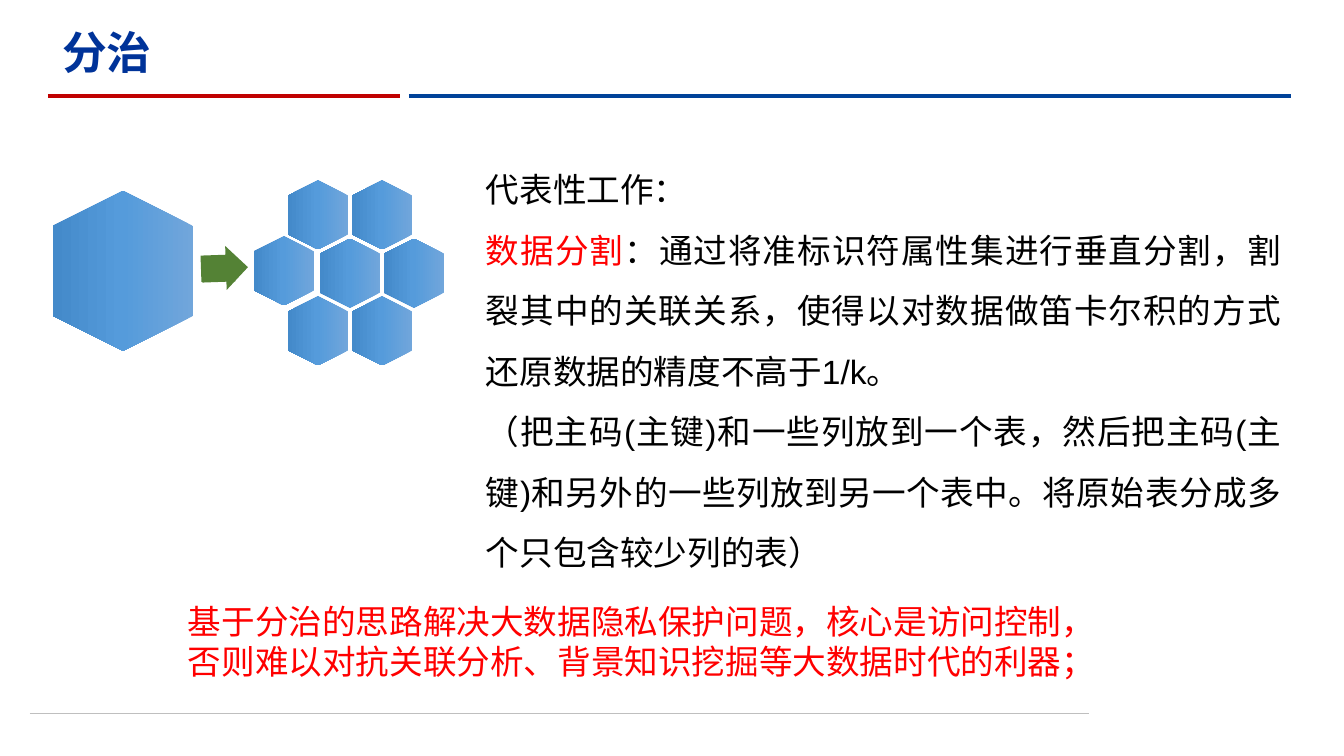
from copy import deepcopy
from lxml import etree
from pptx import Presentation
from pptx.dml.color import RGBColor
from pptx.enum.shapes import MSO_CONNECTOR, MSO_SHAPE
from pptx.enum.text import MSO_ANCHOR, MSO_AUTO_SIZE, PP_ALIGN
from pptx.oxml.ns import qn
from pptx.util import Emu, Pt

STRAIGHT = MSO_CONNECTOR.STRAIGHT
HEXAGON, ARROW, RECT = MSO_SHAPE.HEXAGON, MSO_SHAPE.RIGHT_ARROW, MSO_SHAPE.RECTANGLE
MIDDLE, TOP = MSO_ANCHOR.MIDDLE, MSO_ANCHOR.TOP
LEFT, JUSTIFY = PP_ALIGN.LEFT, PP_ALIGN.JUSTIFY
NO_FIT = MSO_AUTO_SIZE.NONE

COLORS = {"navy": "003399", "blue": "004299", "crimson": "C00000", "gray": "BFBFBF",
          "red": "FF0000", "black": "000000", "green": "548235",
          "light": "71A6DB", "mid": "559BDB", "deep": "448ACA"}
GRADIENT = [(0, "light"), (0.5, "mid"), (1, "deep")]

RULES = [(30, 713, 1089, "gray", 0.5), (409, 96, 1291, "blue", 3), (48, 96, 400, "crimson", 3)]

TITLE = [[("分治", "navy")]]
WORK = [
    [("代表性工作：", "black")],
    [("数据分割", "red"),
     ("：通过将准标识符属性集进行垂直分割，割裂其中的关联关系，"
      "使得以对数据做笛卡尔积的方式还原数据的精度不高于1/k。", "black")],
    [("（把主码(主键)和一些列放到一个表，然后把主码(主键)和另外的一些列放到另一个表中。"
      "将原始表分成多个只包含较少列的表）", "black")],
]
SUMMARY = [[("基于分治的思路解决大数据隐私保护问题，核心是访问控制，"
             "否则难以对抗关联分析、背景知识挖掘等大数据时代的利器；", "red")]]

TITLE_FORMAT = {"size": Pt(32), "bold": True, "name": "Noto Sans CJK SC"}
WORK_FORMAT = {"size": Pt(24), "name": "Arial"}
SUMMARY_FORMAT = {"size": Pt(24), "name": "Roboto"}

WHOLE = (123, 271, 160, 140)
CELL_SIZE = (69, 60)
CELL_PITCH = 64
CELL_ROWS = [(318, 215, 2), (350, 273, 2), (318, 331, 2), (284, 271, 1)]
ARROW_PARTS = [(ARROW, (201, 246, 47, 44)), (RECT, (202, 256, 33, 26))]


def px(n):
    return Emu(round(n * 914400 / 100.8))


def rgb(name):
    return RGBColor.from_string(COLORS[name])


def add_rule(slide, x1, y, x2, color, width):
    line = slide.shapes.add_connector(STRAIGHT, px(x1), px(y), px(x2), px(y))
    line.line.color.rgb = rgb(color)
    line.line.width = Pt(width)
    etree.SubElement(line._element.spPr, qn("a:effectLst"))


def add_shape(slide, kind, box, rotation):
    sp = slide.shapes.add_shape(kind, *map(px, box))
    sp.rotation = rotation
    sp.shadow.inherit = False
    sp.line.fill.background()
    return sp


def add_hexagon(slide, cx, cy, w, h):
    sp = add_shape(slide, HEXAGON, (cx - w / 2, cy - h / 2, w, h), 90)
    sp.adjustments[0] = 0.25
    sp.fill.gradient()
    sp.fill.gradient_angle = 270
    stops = sp._element.spPr.find(qn("a:gradFill")).find(qn("a:gsLst"))
    stops.insert(1, deepcopy(stops[0]))
    for stop, (position, color) in zip(sp.fill.gradient_stops, GRADIENT):
        stop.position = position
        stop.color.rgb = rgb(color)


def fill_text(sp, paragraphs, fmt, anchor=TOP, align=LEFT, spacing=1.0):
    tf = sp.text_frame
    tf.word_wrap = True
    tf.auto_size = NO_FIT
    tf.vertical_anchor = anchor
    for i, runs in enumerate(paragraphs):
        p = tf.add_paragraph() if i else tf.paragraphs[0]
        p.alignment = align
        p.line_spacing = spacing
        p.space_before = Pt(0)
        for text, color in runs:
            r = p.add_run()
            r.text = text
            for key, value in fmt.items():
                setattr(r.font, key, value)
            r.font.color.rgb = rgb(color)
            if fmt is TITLE_FORMAT:
                ea = etree.SubElement(r.font._element, qn("a:ea"))
                ea.set("typeface", fmt["name"])


def main():
    prs = Presentation()
    prs.slide_width, prs.slide_height = px(1344), px(756)
    slide = prs.slides.add_slide(prs.slide_layouts[5])

    for rule in RULES:
        add_rule(slide, *rule)

    title = slide.shapes.title
    title.left, title.top, title.width, title.height = map(px, (52, -8, 718, 126))
    fill_text(title, TITLE, TITLE_FORMAT, anchor=MIDDLE, spacing=0.9)

    add_hexagon(slide, *WHOLE)
    for x, y, count in CELL_ROWS:
        for i in range(count):
            add_hexagon(slide, x + i * CELL_PITCH, y, *CELL_SIZE)

    for kind, box in ARROW_PARTS:
        sp = add_shape(slide, kind, box, 358)
        sp.fill.solid()
        sp.fill.fore_color.rgb = rgb("green")
        if kind == ARROW:
            sp.adjustments[0] = 0.6

    work = slide.shapes.add_textbox(*map(px, (476, 144, 815, 430)))
    fill_text(work, WORK, WORK_FORMAT, align=JUSTIFY, spacing=1.5)
    summary = slide.shapes.add_textbox(*map(px, (178, 596, 901, 92)))
    fill_text(summary, SUMMARY, SUMMARY_FORMAT)

    prs.save("out.pptx")


if __name__ == "__main__":
    main()
